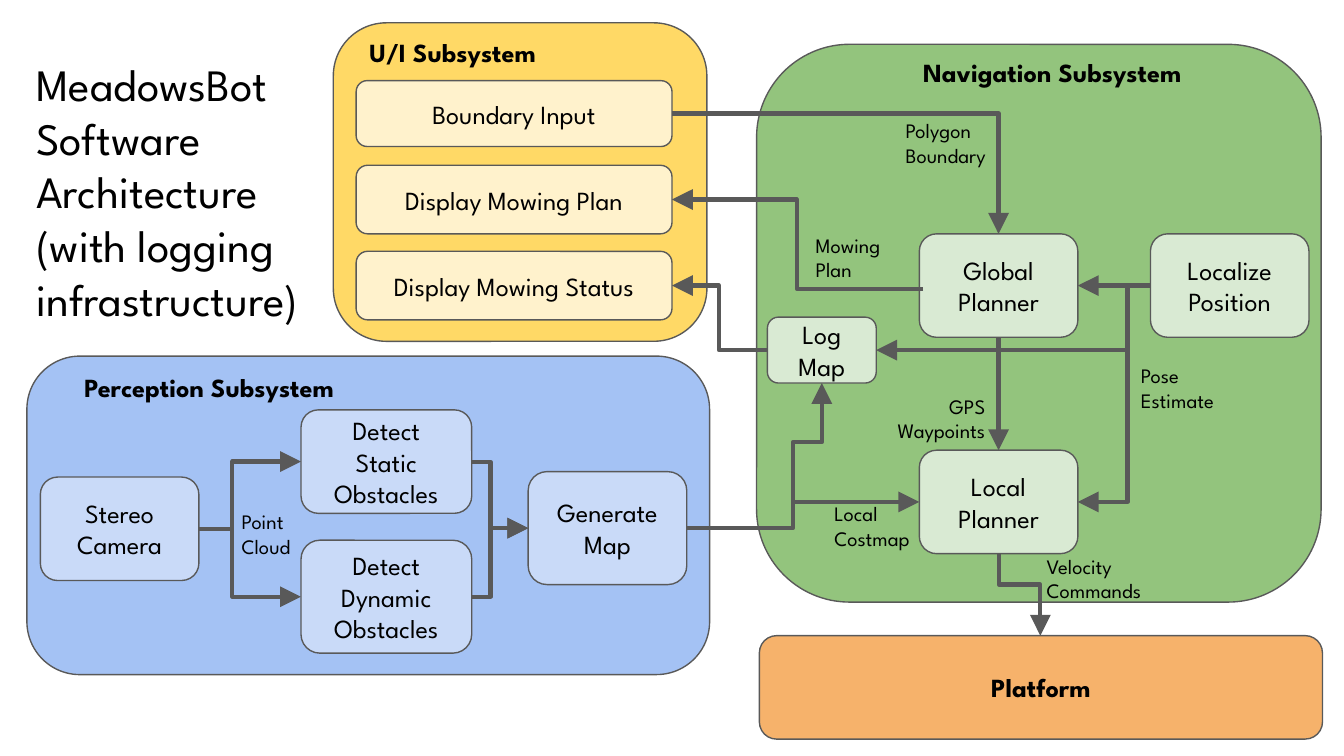
"""Build the mowing robot software architecture slide."""
from lxml.etree import SubElement
from pptx import Presentation
from pptx.dml.color import RGBColor
from pptx.enum.shapes import MSO_CONNECTOR, MSO_SHAPE
from pptx.enum.text import MSO_ANCHOR, MSO_AUTO_SIZE, PP_ALIGN
from pptx.oxml.ns import qn
from pptx.util import Inches, Pt

FONT = "League Spartan"
INK, STROKE = "000000", "595959"
TITLE = "MeadowsBot\nSoftware\nArchitecture\n(with logging infrastructure)"
TITLE_AREA = (0.17, 0.32, 2.35, 0.7)

UI_COL, CAMERA_COL, DETECT_COL, MAP_COL = 2.65, 0.3, 2.24, 3.93
LOG_COL, PLANNER_COL, POSITION_COL = 5.71, 6.84, 8.56
GLOBAL_ROW, LOCAL_ROW = 1.74, 3.35
STEP = (1.18, 0.77)

SUBSYSTEMS = [
    {
        "heading": ("Perception Subsystem", 0.53, 2.66),
        "area": (0.2, 2.65, 5.08, 2.37),
        "fills": ("A4C2F4", "C9DAF8"),
        "steps": {
            "camera": ("Stereo Camera", CAMERA_COL, 3.55, *STEP),
            "static": ("Detect Static Obstacles", DETECT_COL, 3.05, 1.27, 0.77),
            "dynamic": ("Detect Dynamic Obstacles", DETECT_COL, 4.02, 1.27, 0.84),
            "map": ("Generate\nMap", MAP_COL, 3.51, 1.18, 0.84),
        },
    },
    {
        "heading": ("Navigation Subsystem", 6.77, 0.32),
        "area": (5.63, 0.33, 4.2, 4.15),
        "fills": ("93C47D", "D9EAD3"),
        "steps": {
            "local": ("Local\nPlanner", PLANNER_COL, LOCAL_ROW, *STEP),
            "global": ("Global\nPlanner", PLANNER_COL, GLOBAL_ROW, *STEP),
            "position": ("Localize Position", POSITION_COL, GLOBAL_ROW, *STEP),
            "log": ("Log Map", LOG_COL, 2.36, 0.81, 0.49),
        },
    },
    {
        "heading": ("U/I Subsystem", 2.65, 0.17),
        "area": (2.48, 0.17, 2.78, 2.37),
        "fills": ("FFD966", "FFF2CC"),
        "steps": {
            "boundary": ("Boundary Input", UI_COL, 0.6, 2.35, 0.49),
            "plan": ("Display Mowing Plan", UI_COL, 1.23, 2.35, 0.51),
            "status": ("Display Mowing Status", UI_COL, 1.87, 2.35, 0.51),
        },
    },
]
PLATFORM = ("Platform", 5.65, 4.73, 4.19, 0.77)

CLOUD_BEND, DETECT_BEND, COSTMAP_BEND, POSE_BEND = 1.73, 3.65, 5.9, 8.39
STRAIGHT, CORNER, ACROSS, DOWN = "straight", "corner", "across", "down"
FLOWS = [
    (("camera", "right"), ("static", "left"), ACROSS, CLOUD_BEND),
    (("camera", "right"), ("dynamic", "left"), ACROSS, CLOUD_BEND),
    (("static", "right"), ("map", "left"), ACROSS, DETECT_BEND),
    (("dynamic", "right"), ("map", "left"), ACROSS, DETECT_BEND),
    (("map", "right"), ("local", "left"), ACROSS, COSTMAP_BEND),
    ((COSTMAP_BEND, 3.74), ("log", "bottom"), DOWN, 3.29),
    (("boundary", "right"), ("global", "top"), CORNER, None),
    ((6.87, 2.15), ("plan", "right"), ACROSS, 5.93),
    (("log", "left"), ("status", "right"), ACROSS, 5.35),
    (("position", "left"), ("global", "right"), STRAIGHT, None),
    (("position", "left"), ("local", "right"), ACROSS, POSE_BEND),
    (("position", "left"), ("log", "right"), ACROSS, POSE_BEND),
    (("global", "bottom"), ("local", "top"), STRAIGHT, None),
    (("local", "bottom"), (7.74, 4.73), DOWN, 4.35),
]

FLOW_LABELS = [
    ("Polygon Boundary", 6.64, 0.78, 1.05, PP_ALIGN.LEFT),
    ("Mowing Plan", 5.97, 1.63, 0.91, PP_ALIGN.LEFT),
    ("Pose Estimate", 8.39, 2.6, 1.05, PP_ALIGN.LEFT),
    ("Velocity Commands", 7.69, 4.02, 1.4, PP_ALIGN.LEFT),
    ("GPS Waypoints", 6.38, 2.83, 1.05, PP_ALIGN.RIGHT),
    ("Local Costmap", 6.11, 3.63, 0.81, PP_ALIGN.LEFT),
    ("Point Cloud", 1.7, 3.69, 0.81, PP_ALIGN.LEFT),
]


def color(hex_code):
    return RGBColor.from_string(hex_code)


def write(frame, text, size, align, anchor=MSO_ANCHOR.TOP, bold=False):
    frame.word_wrap = True
    frame.auto_size = MSO_AUTO_SIZE.NONE
    frame.vertical_anchor = anchor
    frame.margin_left = frame.margin_right = Inches(0.1)
    frame.margin_top = frame.margin_bottom = Inches(0.1)
    for index, words in enumerate(text.split("\n")):
        paragraph = frame.add_paragraph() if index else frame.paragraphs[0]
        paragraph.alignment = align
        run = paragraph.add_run()
        run.text = words
        run.font.name, run.font.size, run.font.bold = FONT, Pt(size), bold
        run.font.color.rgb = color(INK)


def add_box(slide, area, fill, text="", bold=False):
    box = slide.shapes.add_shape(MSO_SHAPE.ROUNDED_RECTANGLE, *map(Inches, area))
    box.shadow.inherit = False
    box.fill.solid()
    box.fill.fore_color.rgb = color(fill)
    box.line.color.rgb = color(STROKE)
    box.line.width = Pt(0.75)
    if text:
        write(box.text_frame, text, 14, PP_ALIGN.CENTER, MSO_ANCHOR.MIDDLE, bold)


def add_label(slide, text, area, size, align=PP_ALIGN.LEFT, bold=False):
    label = slide.shapes.add_textbox(*map(Inches, area))
    write(label.text_frame, text, size, align, bold=bold)


def locate(end, areas):
    name, side = end
    if name not in areas:
        return end
    left, top, width, height = areas[name]
    across, down = {"left": (0, 0.5), "right": (1, 0.5),
                    "top": (0.5, 0), "bottom": (0.5, 1)}[side]
    return left + across * width, top + down * height


def add_flow(slide, start, end, route, bend):
    (x1, y1), (x2, y2) = start, end
    ends = (x1, y1, x2, y2)
    if route == DOWN:
        middle_x, middle_y = (x1 + x2) / 2, (y1 + y2) / 2
        half_x, half_y = (x2 - x1) / 2, (y2 - y1) / 2
        ends = (middle_x + half_y, middle_y - half_x,
                middle_x - half_y, middle_y + half_x)
    style = MSO_CONNECTOR.STRAIGHT if route == STRAIGHT else MSO_CONNECTOR.ELBOW
    flow = slide.shapes.add_connector(style, *map(Inches, ends))
    flow.line.color.rgb = color(STROKE)
    flow.line.width = Pt(2.25)
    properties = flow._element.spPr
    SubElement(properties.find(qn("a:ln")), qn("a:tailEnd"),
               type="triangle", w="lg", len="lg")
    SubElement(properties, qn("a:effectLst"))
    geometry = properties.find(qn("a:prstGeom"))
    if route == CORNER:
        geometry.set("prst", "bentConnector2")
    if route == DOWN:
        properties.find(qn("a:xfrm")).set("rot", str(270 * 60000))
    if bend is not None:
        share = (bend - y1) / (y2 - y1) if route == DOWN else (bend - x1) / (x2 - x1)
        SubElement(geometry.find(qn("a:avLst")), qn("a:gd"),
                   name="adj1", fmla=f"val {round(share * 100000)}")


def main():
    deck = Presentation()
    deck.slide_width = Inches(10)
    deck.slide_height = deck.slide_width * 9 // 16
    slide = deck.slides.add_slide(deck.slide_layouts[5])

    title = slide.shapes.title
    title.left, title.top, title.width, title.height = map(Inches, TITLE_AREA)
    write(title.text_frame, TITLE, 24, PP_ALIGN.LEFT)

    areas = {}
    for subsystem in SUBSYSTEMS:
        panel_fill, step_fill = subsystem["fills"]
        add_box(slide, subsystem["area"], panel_fill)
        heading, left, top = subsystem["heading"]
        add_label(slide, heading, (left, top, 2.58, 0.39), 14, bold=True)
        for name, (text, *area) in subsystem["steps"].items():
            areas[name] = area
            add_box(slide, area, step_fill, text)

    platform, *platform_area = PLATFORM
    add_box(slide, platform_area, "F6B26B", platform, bold=True)
    for start, end, route, bend in FLOWS:
        add_flow(slide, locate(start, areas), locate(end, areas), route, bend)
    for text, left, top, width, align in FLOW_LABELS:
        add_label(slide, text, (left, top, width, 0.49), 11, align)

    deck.save("out.pptx")


if __name__ == "__main__":
    main()
